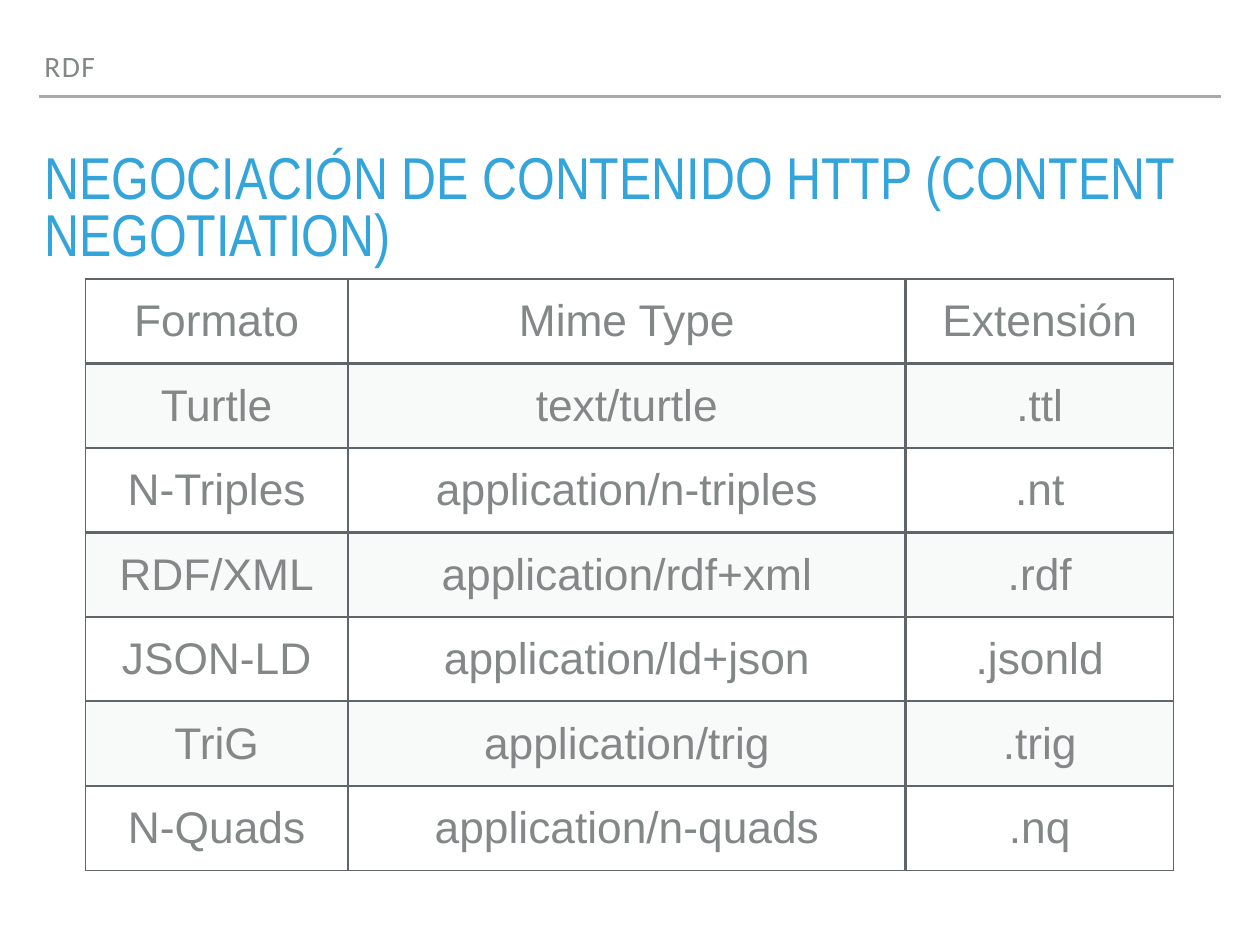
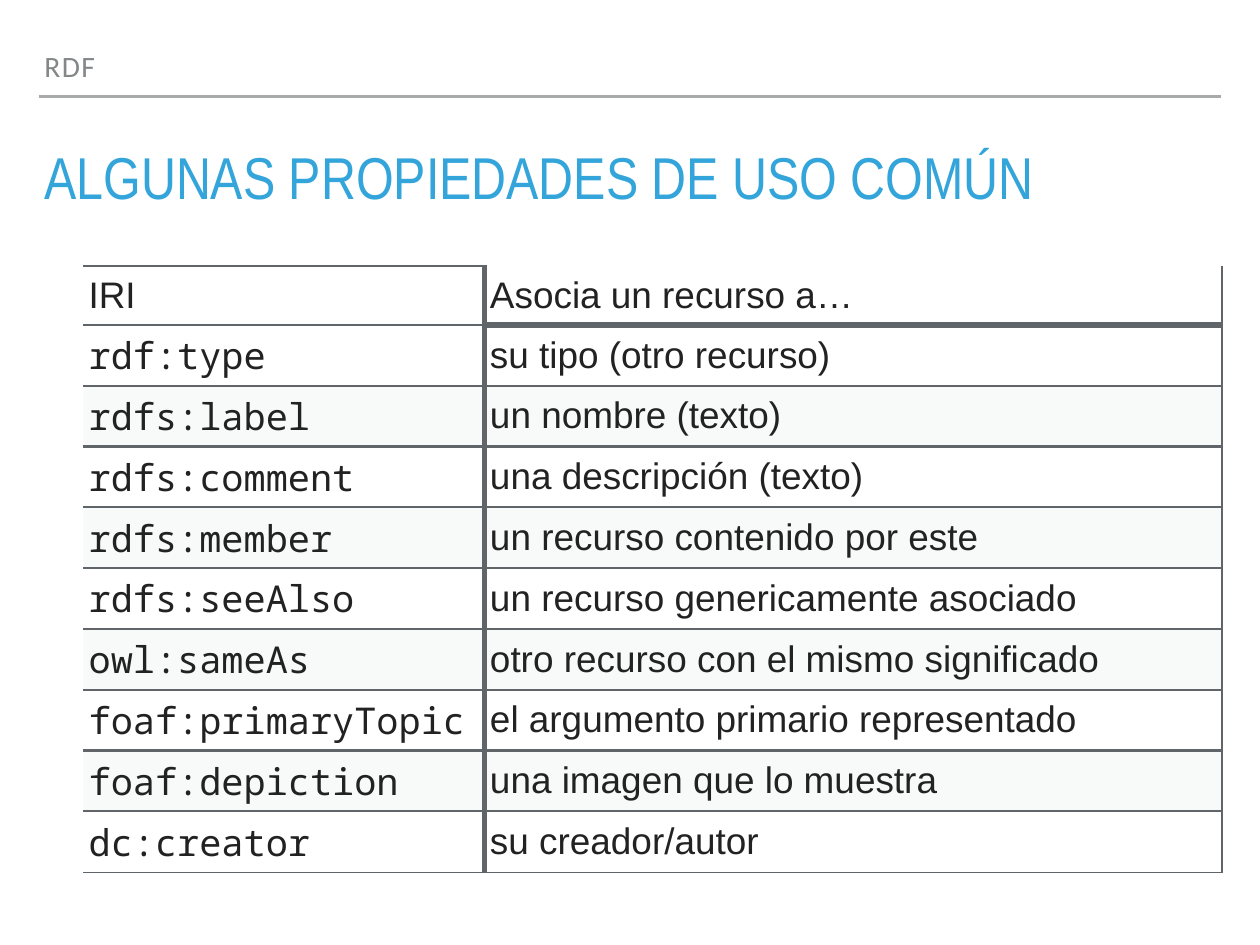
"""Build two RDF slides: content negotiation formats and common properties."""
import lxml.etree
import pptx
import pptx.dml.color
import pptx.enum.shapes
import pptx.enum.text
import pptx.oxml.ns
import pptx.util

Inches, Pt = pptx.util.Inches, pptx.util.Pt
RGBColor = pptx.dml.color.RGBColor
MSO_ANCHOR, PP_ALIGN = pptx.enum.text.MSO_ANCHOR, pptx.enum.text.PP_ALIGN
qn = pptx.oxml.ns.qn

BLUE = RGBColor(0x34, 0xA5, 0xDA)
GREY = RGBColor(0x83, 0x87, 0x87)
INK = RGBColor(0x22, 0x22, 0x22)
RULE = RGBColor(0xA6, 0xAA, 0xA9)
BORDER = RGBColor(0x5F, 0x65, 0x68)
BAND = RGBColor(0xDC, 0xDE, 0xE0)
INSET = Inches(0.06)
MARGIN = Inches(0.44)
NO_STYLE = "{2D5ABB26-0587-4C30-8999-92F81FD0307C}"

SLIDES = [
    {
        "title": "NEGOCIACIÓN DE CONTENIDO HTTP (CONTENT NEGOTIATION)",
        "corner": (0.96, 3.15), "columns": (2.97, 6.29, 3.03), "height": 6.68,
        "fonts": ("Arial", "Arial", "Arial"), "size": 36, "ink": GREY,
        "align": PP_ALIGN.CENTER, "first_band": 1,
        "across": [[1] + [2] * 6 + [1]] * 3, "upright": [1, 2, 2, 1],
        "rows": [
            ("Formato", "Mime Type", "Extensión"),
            ("Turtle", "text/turtle", ".ttl"),
            ("N-Triples", "application/n-triples", ".nt"),
            ("RDF/XML", "application/rdf+xml", ".rdf"),
            ("JSON-LD", "application/ld+json", ".jsonld"),
            ("TriG", "application/trig", ".trig"),
            ("N-Quads", "application/n-quads", ".nq"),
        ],
    },
    {
        "title": "ALGUNAS PROPIEDADES DE USO COMÚN",
        "corner": (0.94, 3), "columns": (4.53, 8.32), "height": 6.68,
        "fonts": ("Noto Sans Mono", "Arial"), "size": 30, "ink": INK,
        "align": PP_ALIGN.LEFT, "first_band": 2,
        "across": [[2] * 10 + [1], [0, 5] + [2] * 8 + [1]], "upright": [0, 5, 2],
        "rows": [
            ("IRI", "Asocia un recurso a…"),
            ("rdf:type", "su tipo (otro recurso)"),
            ("rdfs:label", "un nombre (texto)"),
            ("rdfs:comment", "una descripción (texto)"),
            ("rdfs:member", "un recurso contenido por este"),
            ("rdfs:seeAlso", "un recurso genericamente asociado"),
            ("owl:sameAs", "otro recurso con el mismo significado"),
            ("foaf:primaryTopic", "el argumento primario representado"),
            ("foaf:depiction", "una imagen que lo muestra"),
            ("dc:creator", "su creador/autor"),
        ],
    },
]


def write(frame, text, font, size, color, align=PP_ALIGN.LEFT):
    """Add one formatted run to the first paragraph and return the run."""
    paragraph = frame.paragraphs[0]
    paragraph.alignment = align
    paragraph.space_before = Pt(0)
    run = paragraph.add_run()
    run.text = text
    run.font.name, run.font.size = font, Pt(size)
    run.font.color.rgb = color
    return run


def draw_borders(cell, widths):
    """Put left, right, top and bottom lines, in points, around a cell."""
    properties = cell._tc.get_or_add_tcPr()
    for order, (side, width) in enumerate(zip("LRTB", widths)):
        line = lxml.etree.Element(qn(f"a:ln{side}"), w=str(Pt(width)))
        if width:
            fill = lxml.etree.SubElement(line, qn("a:solidFill"))
            lxml.etree.SubElement(fill, qn("a:srgbClr"), val=str(BORDER))
        else:
            lxml.etree.SubElement(line, qn("a:noFill"))
        properties.insert(order, line)


deck = pptx.Presentation()
deck.slide_width, deck.slide_height = Inches(14.22), Inches(10.67)
layout = deck.slide_layouts[1]

for content in SLIDES:
    slide = deck.slides.add_slide(layout)

    heading, topic = slide.shapes.title, slide.placeholders[1]
    for part, top, width, height, anchor in (
        (heading, 1.68, 13.33, 0.79, MSO_ANCHOR.TOP),
        (topic, 0.5, 12.22, 0.5, MSO_ANCHOR.BOTTOM),
    ):
        part.left, part.top = MARGIN, Inches(top)
        part.width, part.height = Inches(width), Inches(height)
        frame = part.text_frame
        frame.margin_left = frame.margin_right = INSET
        frame.margin_top = frame.margin_bottom = INSET
        frame.vertical_anchor = anchor
        frame.auto_size = pptx.enum.text.MSO_AUTO_SIZE.NONE
        frame.word_wrap = True
        frame.paragraphs[0].line_spacing = 0.8

    write(heading.text_frame, content["title"], "Arial Narrow", 48, BLUE)
    label = write(topic.text_frame, "RDF", "Calibri", 24, GREY)
    label.font._element.set("spc", "120")
    bullet = topic.text_frame.paragraphs[0]._p.get_or_add_pPr()
    bullet.set("marL", "0")
    bullet.set("indent", "0")
    lxml.etree.SubElement(bullet, qn("a:buNone"))

    left, top = map(Inches, content["corner"])
    rows, columns = content["rows"], content["columns"]
    holder = slide.shapes.add_table(
        len(rows), len(columns), left, top,
        Inches(sum(columns)), Inches(content["height"]))
    table = holder.table
    table.first_row = table.horz_banding = False
    next(holder._element.iter(qn("a:tableStyleId"))).text = NO_STYLE
    for column, width in zip(table.columns, columns):
        column.width = Inches(width)

    for r, row in enumerate(rows):
        for c, text in enumerate(row):
            cell = table.cell(r, c)
            cell.margin_left = cell.margin_right = INSET
            cell.margin_top = cell.margin_bottom = INSET
            cell.vertical_anchor = MSO_ANCHOR.MIDDLE
            font = content["fonts"][c] if r else "Arial"
            write(cell.text_frame, text, font, content["size"],
                  content["ink"], content["align"])
            if r and r % 2 == content["first_band"] % 2:
                cell.fill.solid()
                cell.fill.fore_color.rgb = BAND
                tint = next(cell._tc.tcPr.iter(qn("a:srgbClr")))
                lxml.etree.SubElement(tint, qn("a:alpha"), val="18000")
            else:
                cell.fill.background()
            draw_borders(cell, content["upright"][c:c + 2]
                         + content["across"][c][r:r + 2])

rule = slide.shapes.add_connector(
    pptx.enum.shapes.MSO_CONNECTOR.STRAIGHT,
    MARGIN, Inches(1.09), deck.slide_width - MARGIN, Inches(1.09))
rule.line.color.rgb = RULE
rule.line.width = Pt(2)
lxml.etree.SubElement(rule._element.spPr, qn("a:effectLst"))
layout.shapes._spTree.append(rule._element)

deck.save("out.pptx")
